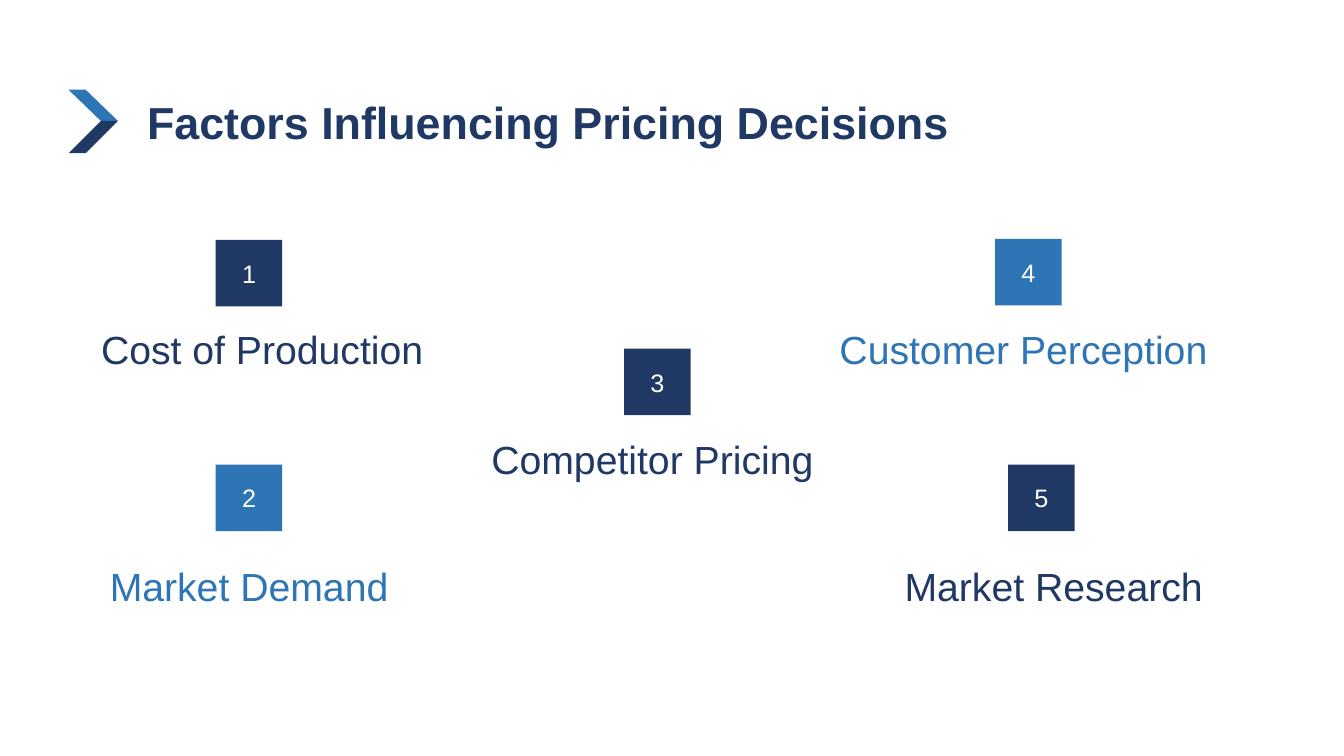
from pptx import Presentation
from pptx.dml.color import RGBColor
from pptx.enum import shapes, text
from pptx.util import Inches, Pt

NAVY, BLUE, WHITE = "203864", "2E75B6", "FFFFFF"
FONT = "Arial"
SQUARE = 0.66

# label, colour, square (left, top), label box (left, top, width)
FACTORS = [
    ("Cost of Production", NAVY, (2.14, 2.38), (0.88, 3.18, 3.44)),
    ("Market Demand", BLUE, (2.14, 4.61), (0.97, 5.53, 3)),
    ("Competitor Pricing", NAVY, (6.19, 3.46), (4.52, 4.27, 3.9)),
    ("Customer Perception", BLUE, (9.87, 2.37), (8.2, 3.18, 3.9)),
    ("Market Research", NAVY, (10, 4.61), (8.83, 5.53, 3.24)),
]


def rgb(color):
    return RGBColor.from_string(color)


def paint(sp, color):
    """Give a shape a plain fill, with no line and no shadow."""
    sp.shadow.inherit = False
    sp.fill.solid()
    sp.fill.fore_color.rgb = rgb(color)
    sp.line.fill.background()


def write(tf, words, size, color, align, bold=False):
    p = tf.paragraphs[0]
    p.alignment = align
    r = p.add_run()
    r.text = words
    r.font.name = FONT
    r.font.size = Pt(size)
    r.font.bold = bold
    r.font.color.rgb = rgb(color)


def add_text(s, box, words, size, color, align=text.PP_ALIGN.CENTER, bold=False):
    tf = s.shapes.add_textbox(*map(Inches, box)).text_frame
    tf.word_wrap = True
    tf.auto_size = text.MSO_AUTO_SIZE.SHAPE_TO_FIT_TEXT
    write(tf, words, size, color, align, bold)


def add_number(s, left, top, number, color):
    sp = s.shapes.add_shape(shapes.MSO_SHAPE.RECTANGLE, Inches(left), Inches(top),
                            Inches(SQUARE), Inches(SQUARE))
    paint(sp, color)
    sp.text_frame.vertical_anchor = text.MSO_ANCHOR.MIDDLE
    write(sp.text_frame, str(number), 18, WHITE, text.PP_ALIGN.CENTER)


def add_chevron_half(s, outer_y, color):
    """Draw one arm of the chevron, from outer_y to its tip at mid height."""
    tip_y = 1.2
    points = [(0.68, outer_y), (0.85, outer_y), (1.17, tip_y), (1, tip_y)]
    corners = [(Inches(x), Inches(y)) for x, y in points]
    fb = s.shapes.build_freeform(*corners[0])
    fb.add_line_segments(corners[1:], close=True)
    paint(fb.convert_to_shape(), color)


def main():
    prs = Presentation()
    prs.slide_width, prs.slide_height = Inches(13.33), Inches(7.5)
    s = prs.slides.add_slide(prs.slide_layouts[6])

    add_chevron_half(s, 0.89, BLUE)
    add_chevron_half(s, 1.52, NAVY)
    add_text(s, (1.36, 0.89, 8.38, 0.64), "Factors Influencing Pricing Decisions",
             32, NAVY, text.PP_ALIGN.LEFT, bold=True)

    for number, (label, color, square, label_box) in enumerate(FACTORS, 1):
        add_number(s, *square, number, color)
        add_text(s, (*label_box, 0.57), label, 28, color)

    prs.save("out.pptx")


if __name__ == "__main__":
    main()
